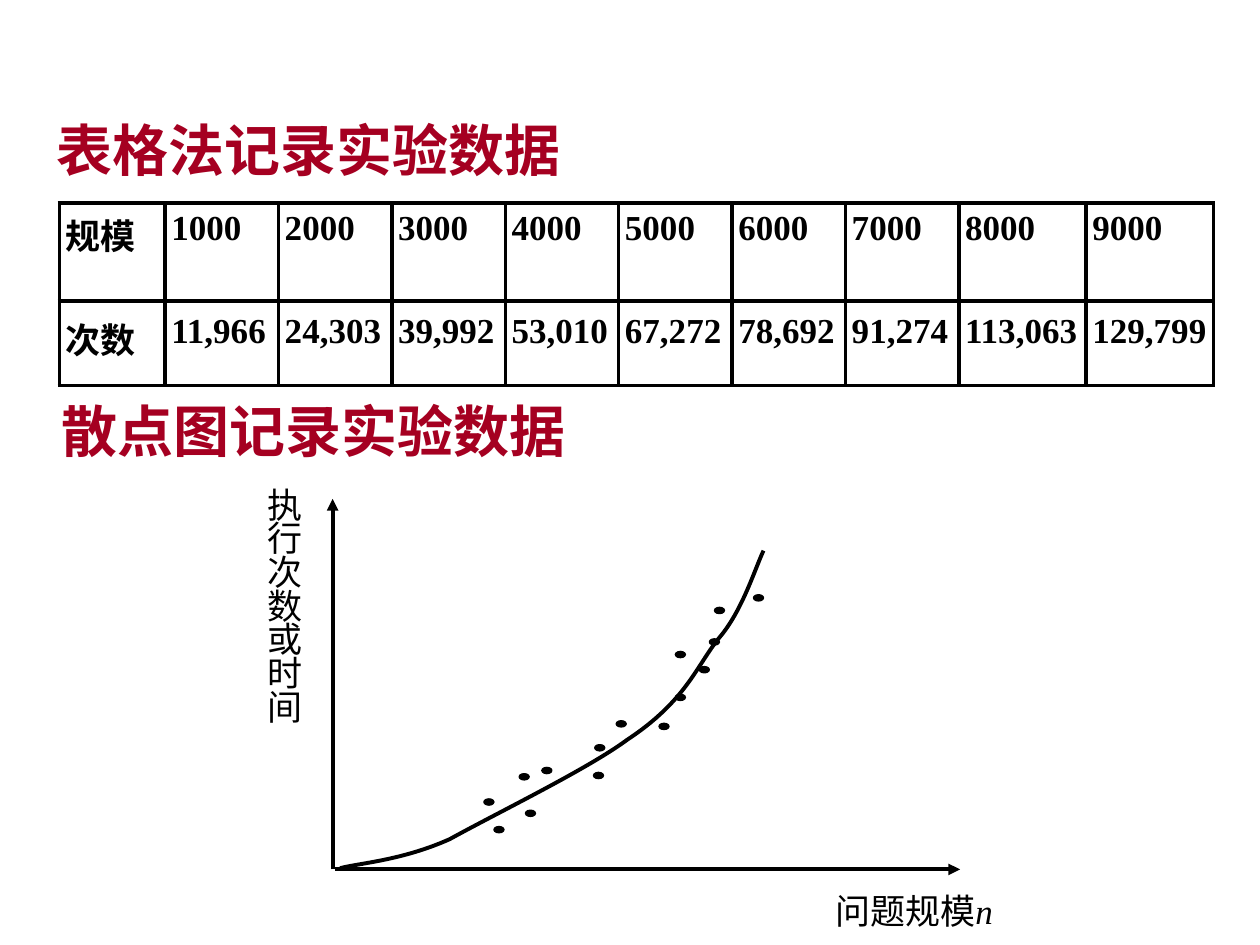
from lxml import etree
from pptx import Presentation
from pptx import util as u
from pptx.dml.color import RGBColor
from pptx.enum import shapes, text
from pptx.oxml import ns

CRIMSON = RGBColor(0xA5, 0x00, 0x21)
BLACK = RGBColor(0x00, 0x00, 0x00)
SANS, SERIF = "Arial", "Times New Roman"
EMU_PER_PX = 9144  # 100 px to the inch
RULE = u.Pt(2.25)


def px(length):
    return u.Emu(length * EMU_PER_PX)


def write(paragraph, words, size=20, font=SANS, color=BLACK, bold=False,
          italic=False, spacing=None):
    """Add one formatted run to a paragraph."""
    run = paragraph.add_run()
    run.text = words
    run.font.size = u.Pt(size)
    run.font.name = font
    run.font.color.rgb = color
    run.font.bold = bold
    run.font.italic = italic
    paragraph.alignment = text.PP_ALIGN.LEFT
    if spacing:
        paragraph.line_spacing = spacing


def child(parent, tag, **attributes):
    return etree.SubElement(parent, ns.qn(tag), **attributes)


class Sheet:
    """The current slide and its drawing style."""

    def __init__(self, slide):
        self.slide = slide
        self.shapes = slide.shapes

    def heading(self, left, top, words, box=None):
        if box is None:
            box = self.shapes.add_textbox(0, 0, 0, 0)
        box.left, box.top, box.width, box.height = map(px, (left, top, 430, 64))
        frame = box.text_frame
        frame.word_wrap = True
        frame.auto_size = text.MSO_AUTO_SIZE.NONE
        frame.vertical_anchor = text.MSO_ANCHOR.MIDDLE
        write(frame.paragraphs[0], words, size=32, color=CRIMSON, bold=True)

    def label(self, left, top, width, height, margins=(10, 5)):
        frame = self.shapes.add_textbox(*map(px, (left, top, width, height))).text_frame
        frame.word_wrap = True
        frame.margin_left = frame.margin_right = px(margins[0])
        frame.margin_top = frame.margin_bottom = px(margins[1])
        return frame

    def table(self, left, top, widths, heights, rows, top_margins):
        grid = self.shapes.add_table(len(rows), len(widths), px(left), px(top),
                                     px(sum(widths)), px(sum(heights))).table
        grid.first_row = grid.horz_banding = False
        for column, width in zip(grid.columns, widths):
            column.width = px(width)
        for r, values in enumerate(rows):
            grid.rows[r].height = px(heights[r])
            for c, value in enumerate(values):
                cell = grid.cell(r, c)
                cell.margin_left, cell.margin_right = px(5), px(0)
                cell.margin_top, cell.margin_bottom = px(top_margins[r]), px(5)
                write(cell.text_frame.paragraphs[0], value, font=SERIF, bold=True)
                self.borders(cell)
                cell.fill.background()

    def borders(self, cell):
        properties = cell._tc.get_or_add_tcPr()
        for side in ("a:lnL", "a:lnR", "a:lnT", "a:lnB"):
            edge = child(properties, side, w=str(int(RULE)))
            child(child(edge, "a:solidFill"), "a:srgbClr", val=str(BLACK))

    def axis(self, x1, y1, x2, y2):
        arrow = self.shapes.add_connector(shapes.MSO_CONNECTOR.STRAIGHT,
                                          *map(px, (x1, y1, x2, y2)))
        arrow.line.color.rgb = BLACK
        arrow.line.width = RULE
        child(arrow.line._get_or_add_ln(), "a:tailEnd", type="triangle")
        child(arrow._element.spPr, "a:effectLst")

    def dot(self, left, top):
        point = self.shapes.add_shape(shapes.MSO_SHAPE.OVAL,
                                      *map(px, (left, top, 8, 5)))
        point.shadow.inherit = False
        point.fill.solid()
        point.fill.fore_color.rgb = BLACK
        point.line.color.rgb = BLACK
        point.line.width = u.Pt(0.75)

    def curve(self, start, points):
        """Draw cubic curves; every three points are two controls and an end."""
        builder = self.shapes.build_freeform(*start, scale=float(EMU_PER_PX))
        builder.add_line_segments(points, close=False)
        trend = builder.convert_to_shape()
        trend.shadow.inherit = False
        trend.fill.background()
        trend.line.color.rgb = BLACK
        trend.line.width = RULE
        outline = next(trend._element.iter(ns.qn("a:path")))
        segments = outline.findall(ns.qn("a:lnTo"))
        for first in range(0, len(segments), 3):
            bend = child(outline, "a:cubicBezTo")
            for segment in segments[first:first + 3]:
                bend.append(segment[0])
                outline.remove(segment)


def main():
    deck = Presentation()
    deck.slide_width, deck.slide_height = px(1000), px(750)
    sheet = Sheet(deck.slides.add_slide(deck.slide_layouts[5]))

    # Recorded data as a table
    sheet.heading(35, 86, "表格法记录实验数据", sheet.shapes.title)
    sizes = [str(n * 1000) for n in range(1, 10)]
    counts = ["11,966", "24,303", "39,992", "53,010", "67,272",
              "78,692", "91,274", "113,063", "129,799"]
    sheet.table(47, 161, [84] + [90] * 7 + [101] * 2, [78, 67],
                [["规模"] + sizes, ["次数"] + counts], top_margins=(5, 9))

    # Recorded data as a scatter plot
    sheet.heading(39, 309, "散点图记录实验数据")
    sheet.axis(266, 690, 762, 690)
    sheet.axis(264, 690, 264, 396)

    count_label = sheet.label(212, 390, 35, 295, margins=(0, 0))
    for i, character in enumerate("执行次数或时间"):
        line = count_label.add_paragraph() if i else count_label.paragraphs[0]
        write(line, character, spacing=0.8)

    for left, top in [(392, 656), (384, 634), (489, 572), (417, 643), (471, 613),
                      (523, 574), (536, 551), (536, 517), (567, 482), (598, 472),
                      (563, 507), (555, 529), (430, 609), (412, 614), (472, 591)]:
        sheet.dot(left, top)

    sheet.curve((270, 689), [(285, 685), (319, 683), (357, 666),
                             (395, 645), (467, 610), (498, 587),
                             (545, 556), (553, 528), (571, 506),
                             (589, 485), (599, 452), (606, 437)])

    size_label = sheet.label(653, 701, 177, 44).paragraphs[0]
    write(size_label, "问题规模")
    write(size_label, "n", font=SERIF, italic=True)

    deck.save("out.pptx")


if __name__ == "__main__":
    main()
